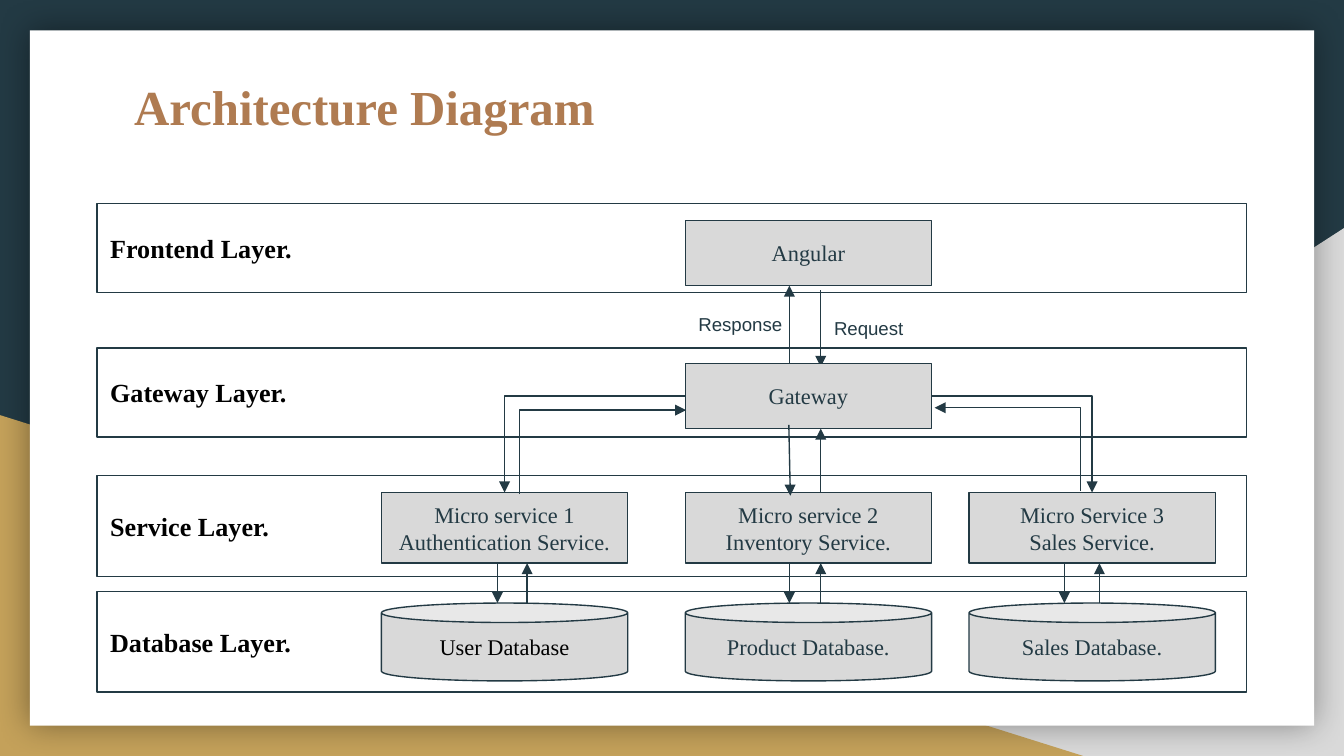
from dataclasses import dataclass

from lxml import etree
from pptx import Presentation
from pptx.dml.color import RGBColor
from pptx.enum.shapes import MSO_CONNECTOR, MSO_SHAPE
from pptx.enum.text import MSO_ANCHOR, PP_ALIGN
from pptx.oxml.ns import qn
from pptx.util import Pt

RECT, CAN, TRIANGLE = MSO_SHAPE.RECTANGLE, MSO_SHAPE.CAN, MSO_SHAPE.RIGHT_TRIANGLE
STRAIGHT, ELBOW = MSO_CONNECTOR.STRAIGHT, MSO_CONNECTOR.ELBOW
LEFT, CENTER = PP_ALIGN.LEFT, PP_ALIGN.CENTER
TOP_ANCHOR, MIDDLE = MSO_ANCHOR.TOP, MSO_ANCHOR.MIDDLE
TOP, LEFT_SIDE, RIGHT_SIDE = 0, 1, 3

COLORS = {
    "navy": "233A44", "grey": "D9D9D9", "gold": "C4A15A",
    "white": "FFFFFF", "bronze": "AF7B51", "black": "000000",
}
SERIF, SANS = "Times New Roman", "Arial"
NODE_WIDTH = 132
COLUMNS = (204.3, 367.1, 519.1)
DOWN_X, UP_X = 422.9, 439.7
SERVICE_TOP, SERVICE_BOTTOM, DATABASE_TOP = 263.9, 301.7, 323.1


@dataclass
class Box:
    left: float
    top: float
    width: float
    height: float


@dataclass
class Style:
    size: float
    color: str = "navy"
    font: str = SERIF
    bold: bool = False
    align: PP_ALIGN = CENTER
    anchor: MSO_ANCHOR = MIDDLE


NODE_STYLE = Style(12)
LAYER_STYLE = Style(14, "black", bold=True, align=LEFT)
LABEL_STYLE = Style(10, font=SANS, align=LEFT, anchor=TOP_ANCHOR)
TITLE_STYLE = Style(26.2, "bronze", bold=True, align=LEFT, anchor=TOP_ANCHOR)


def rgb(name: str) -> RGBColor:
    return RGBColor.from_string(COLORS[name])


def write(shape, text: str, style: Style) -> None:
    frame = shape.text_frame
    frame.word_wrap = True
    frame.vertical_anchor = style.anchor
    frame.margin_left = frame.margin_right = Pt(7.2)
    frame.margin_top = frame.margin_bottom = Pt(7.2)
    frame.text = text
    for paragraph in frame.paragraphs:
        paragraph.alignment = style.align
        font = paragraph.font
        font.name, font.size, font.bold = style.font, Pt(style.size), style.bold
        font.color.rgb = rgb(style.color)


def add_shape(slide, kind, box: Box, fill: str = "", outlined: bool = True):
    shape = slide.shapes.add_shape(
        kind, Pt(box.left), Pt(box.top), Pt(box.width), Pt(box.height))
    shape.shadow.inherit = False
    if fill:
        shape.fill.solid()
        shape.fill.fore_color.rgb = rgb(fill)
    else:
        shape.fill.background()
    if outlined:
        shape.line.color.rgb = rgb("navy")
        shape.line.width = Pt(0.75)
    else:
        shape.line.fill.background()
    return shape


def add_node(slide, kind, box: Box, text: str, style: Style = NODE_STYLE):
    node = add_shape(slide, kind, box, "grey")
    write(node, text, style)
    return node


def add_text(slide, box: Box, text: str, style: Style) -> None:
    write(slide.shapes.add_textbox(
        Pt(box.left), Pt(box.top), Pt(box.width), Pt(box.height)), text, style)


def add_arrow(slide, x1: float, y1: float, x2: float, y2: float, kind=STRAIGHT):
    arrow = slide.shapes.add_connector(kind, Pt(x1), Pt(y1), Pt(x2), Pt(y2))
    arrow.line.color.rgb = rgb("navy")
    arrow.line.width = Pt(0.75)
    etree.SubElement(arrow.line._get_or_add_ln(), qn("a:tailEnd"), type="triangle")
    etree.SubElement(arrow._element.spPr, qn("a:effectLst"))
    return arrow


def add_outgoing(slide, gateway, side: int, service) -> None:
    """One bend: sideways from the gateway, then down to the service."""
    arrow = add_arrow(slide, 0, 0, 1, 1, ELBOW)
    arrow.begin_connect(gateway, side)
    arrow.end_connect(service, TOP)
    arrow._element.spPr.find(qn("a:prstGeom")).set("prst", "bentConnector2")


def add_returning(slide, x1: float, y1: float, x2: float, y2: float) -> None:
    """Straight up from the service, then sideways to the gateway."""
    arrow = add_arrow(slide, x1, y1, x2, y2, ELBOW)
    guides = arrow._element.spPr.find(qn("a:prstGeom")).get_or_add_avLst()
    etree.SubElement(guides, qn("a:gd"), name="adj1", fmla="val 0")


def add_backdrop(slide) -> None:
    slide.background.fill.solid()
    slide.background.fill.fore_color.rgb = rgb("navy")
    grey_corner = add_shape(slide, TRIANGLE, Box(282.2, 122.2, 437.8, 282.8), "grey", False)
    grey_corner._element.spPr.find(qn("a:xfrm")).set("flipH", "1")
    add_shape(slide, TRIANGLE, Box(0, 222.4, 580.3, 182.6), "gold", False)
    paper = add_shape(slide, RECT, Box(16, 16.2, 688, 372.5), "white", False)
    # Soft shadow all around the paper
    effects = paper._element.spPr.find(qn("a:effectLst"))
    shadow = etree.SubElement(effects, qn("a:outerShdw"), blurRad=str(Pt(18)),
                              dist="0", dir="0", algn="ctr", rotWithShape="0")
    shade = etree.SubElement(shadow, qn("a:srgbClr"), val=COLORS["black"])
    etree.SubElement(shade, qn("a:alpha"), val="40000")


def main() -> None:
    presentation = Presentation()
    presentation.slide_width, presentation.slide_height = Pt(720), Pt(405)
    slide = presentation.slides.add_slide(presentation.slide_layouts[6])
    add_backdrop(slide)
    add_text(slide, Box(64.8, 34, 591, 54), "Architecture Diagram", TITLE_STYLE)

    # Layers
    for name, top, height in (
        ("Frontend Layer.", 109, 47.8), ("Gateway Layer.", 186.4, 47.8),
        ("Service Layer.", 254.8, 54), ("Database Layer.", 316.8, 54),
    ):
        write(add_shape(slide, RECT, Box(51.9, top, 616, height)), name, LAYER_STYLE)

    # Frontend and gateway, with the traffic between them
    add_arrow(slide, UP_X, 155.5, UP_X, 196.6)
    add_arrow(slide, DOWN_X, 194.7, DOWN_X, 153)
    add_text(slide, Box(439.7, 163.6, 53.5, 21.6), "Request", LABEL_STYLE)
    add_text(slide, Box(367.1, 161.4, 60.5, 25.2), "Response", LABEL_STYLE)
    add_node(slide, RECT, Box(COLUMNS[1], 118.1, NODE_WIDTH, 34.9), "Angular")
    gateway = add_node(slide, RECT, Box(COLUMNS[1], 194.7, NODE_WIDTH, 34.9), "Gateway")

    # Services, each above its database
    services = []
    for left, service, database, color, down_x, up_x in zip(
        COLUMNS,
        ("Micro service 1\nAuthentication Service.",
         "Micro service 2\nInventory Service.",
         "Micro Service 3\nSales Service."),
        ("User Database", "Product Database.", "Sales Database."),
        ("black", "navy", "navy"),
        (266.5, DOWN_X, 570.2),
        (282.4, UP_X, 589),
    ):
        services.append(add_node(
            slide, RECT,
            Box(left, SERVICE_TOP, NODE_WIDTH, SERVICE_BOTTOM - SERVICE_TOP), service))
        add_node(slide, CAN, Box(left, DATABASE_TOP, NODE_WIDTH, 41.7),
                 database, Style(12, color))
        add_arrow(slide, down_x, SERVICE_BOTTOM, down_x, DATABASE_TOP)
        add_arrow(slide, up_x, DATABASE_TOP, up_x, SERVICE_BOTTOM)

    # Gateway to services and back
    add_outgoing(slide, gateway, LEFT_SIDE, services[0])
    add_outgoing(slide, gateway, RIGHT_SIDE, services[2])
    add_returning(slide, 278.2, 264.6, 367.6, 219.8)
    add_returning(slide, 579, 262.9, 500.7, 218.5)
    add_arrow(slide, 422.6, 227.7, 423.4, 265.6)
    add_arrow(slide, UP_X, SERVICE_TOP, UP_X, 229.6)

    presentation.save("out.pptx")


if __name__ == "__main__":
    main()
